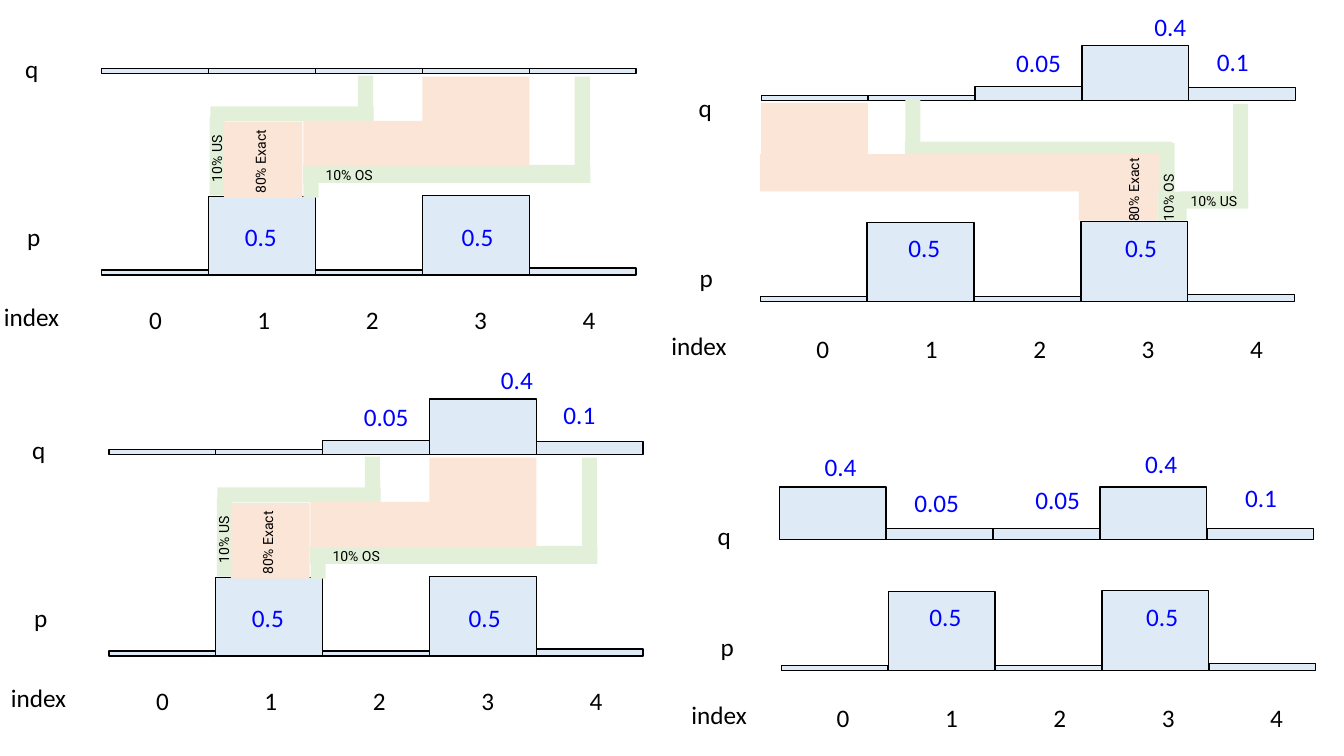
from pptx import Presentation
from pptx.dml.color import RGBColor
from pptx.enum.shapes import MSO_SHAPE
from pptx.enum.text import MSO_AUTO_SIZE
from pptx.util import Inches, Pt

RECT = MSO_SHAPE.RECTANGLE
FIT = MSO_AUTO_SIZE.SHAPE_TO_FIT_TEXT

BLACK, BLUE = "000000", "0000FF"
BAR, GREEN, ORANGE = "DEEBF7", "E2F0D9", "FBE5D6"
BAR_W, INDEX_STEP, TEXT_H = 1.06, 1.075, 0.4
P_HEIGHTS = [0.05, 0.78, 0.05, 0.79, 0.07]
WIDTHS = {1: 0.34, 3: 0.52, 4: 0.65, 5: 0.76}

LEFT_RIBBONS = [
    (GREEN, 2.08, 1.16, 0.15, 0.78, 0),
    (GREEN, 3.55, 0.75, 0.15, 0.44, 0),
    (GREEN, 2.82, 0.32, 0.15, 1.62, 90),
    (GREEN, 3.01, 1.74, 0.15, 0.22, 0),
    (GREEN, 5.7, 0.76, 0.15, 1.03, 0),
    (GREEN, 4.34, 0.3, 0.18, 2.85, 90),
    (ORANGE, 2.22, 1.21, 0.78, 0.75, 0),
    (ORANGE, 3.01, 1.2, 2.24, 0.45, 0),
    (ORANGE, 4.19, 0.76, 1.06, 0.45, 0),
]
LEFT_LABELS = [
    ("10% US", 1.81, 1.43, 0.68, 270),
    ("10% OS", 3.13, 1.6, 0.68, 0),
    ("80% Exact", 2.16, 1.46, 0.85, 270),
]
RIGHT_RIBBONS = [
    (GREEN, 11.48, 1.42, 0.17, 0.77, 0),
    (GREEN, 8.98, 0.99, 0.15, 0.44, 0),
    (GREEN, 10.23, 0.15, 0.14, 2.65, 90),
    (GREEN, 11.62, 1.9, 0.15, 0.29, 0),
    (GREEN, 12.23, 1.03, 0.15, 1.03, 0),
    (GREEN, 11.96, 1.65, 0.17, 0.67, 90),
    (ORANGE, 10.7, 1.54, 0.78, 0.65, 0),
    (ORANGE, 7.54, 1.53, 3.96, 0.37, 0),
    (ORANGE, 7.55, 1.02, 1.06, 0.52, 0),
]
RIGHT_LABELS = [
    ("10% US", 11.71, 1.86, 0.68, 0),
    ("80% Exact", 10.82, 1.74, 0.85, 270),
    ("10% OS", 11.25, 1.82, 0.68, 270),
]

PANELS = [
    {"p": (1.01, 2.73), "q": (1.01, 0.73), "q_heights": [0.05] * 5,
     "index": (1.38, 2.97), "halves": (2.33, 2.15),
     "names": {"q": (0.15, 0.48), "p": (0.17, 2.15)}, "values": [],
     "ribbons": LEFT_RIBBONS, "labels": LEFT_LABELS, "shift": (0, 0)},
    {"p": (1.08, 6.51), "q": (1.08, 4.51),
     "q_heights": [0.05, 0.05, 0.14, 0.55, 0.13],
     "index": (1.45, 6.75), "halves": (2.4, 5.93),
     "names": {"q": (0.22, 4.26), "p": (0.24, 5.93)},
     "values": [("0.05", 3.51, 3.93), ("0.4", 4.87, 3.57), ("0.1", 5.49, 3.91)],
     "ribbons": LEFT_RIBBONS, "labels": LEFT_LABELS, "shift": (0.07, 3.78)},
    {"p": (7.54, 2.99), "q": (7.55, 1.0),
     "q_heights": [0.05, 0.05, 0.14, 0.55, 0.13],
     "index": (8.0, 3.26), "halves": (8.91, 2.26),
     "names": {"q": (6.83, 0.87), "p": (6.84, 2.55)},
     "values": [("0.05", 9.98, 0.42), ("0.4", 11.35, 0.06), ("0.1", 11.97, 0.41)],
     "ribbons": RIGHT_RIBBONS, "labels": RIGHT_LABELS, "shift": (0, 0)},
    {"p": (7.75, 6.65), "q": (7.73, 5.35),
     "q_heights": [0.52, 0.11, 0.11, 0.52, 0.11],
     "index": (8.2, 6.92), "halves": (9.12, 5.92),
     "names": {"q": (7.02, 5.11), "p": (7.05, 6.21)},
     "values": [("0.4", 8.08, 4.43), ("0.05", 8.97, 4.79), ("0.05", 10.17, 4.76),
                ("0.4", 11.26, 4.4), ("0.1", 12.25, 4.74)],
     "ribbons": [], "labels": [], "shift": (0, 0)},
]


def rgb(color):
    """Return the colour for a hex string."""
    return RGBColor.from_string(color)


def add_rect(slide, fill, x, y, w, h, rotation=0, line=None):
    """Add a filled rectangle, outlined when a line colour is given."""
    sp = slide.shapes.add_shape(RECT, Inches(x), Inches(y), Inches(w), Inches(h))
    sp.shadow.inherit = False
    sp.rotation = rotation
    sp.fill.solid()
    sp.fill.fore_color.rgb = rgb(fill)
    if line:
        sp.line.color.rgb = rgb(line)
        sp.line.width = Pt(1)
    else:
        sp.line.fill.background()


def add_text(slide, text, x, y, w, h, color=BLACK, rotation=0, **font):
    """Add one unwrapped line of text."""
    sp = slide.shapes.add_textbox(Inches(x), Inches(y), Inches(w), Inches(h))
    sp.rotation = rotation
    tf = sp.text_frame
    for name, value in {"word_wrap": False, "auto_size": FIT}.items():
        setattr(tf, name, value)
    r = tf.paragraphs[0].add_run()
    r.text = text
    r.font.color.rgb = rgb(color)
    for name, value in ({"name": "Calibri", "size": Pt(18)} | font).items():
        setattr(r.font, name, value)


def add_big_text(slide, text, x, y, color=BLACK):
    """Add an 18 point name, index or value."""
    add_text(slide, text, x, y, WIDTHS[len(text)], TEXT_H, color)


def add_bars(slide, left, bottom, heights):
    """Add a row of touching bars that stand on one base line."""
    for i, h in enumerate(heights):
        add_rect(slide, BAR, left + i * BAR_W, bottom - h, BAR_W, h, line=BLACK)


def add_flow(slide, ribbons, labels, shift):
    """Add the ribbons between q and p with their labels."""
    dx, dy = shift
    for fill, x, y, w, h, rotation in ribbons:
        add_rect(slide, fill, x + dx, y + dy, w, h, rotation)
    for text, x, y, w, rotation in labels:
        add_text(slide, text, x + dx, y + dy, w, 0.27, rotation=rotation,
                 name="Roboto", size=Pt(10))


def add_index(slide, x, y):
    """Add the index row with its heading."""
    add_big_text(slide, "index", x - 1.44, y - 0.03)
    for i in range(5):
        add_big_text(slide, str(i), x + i * INDEX_STEP, y)


def add_panel(slide, panel):
    """Add one pair of distributions with the flow between them."""
    add_bars(slide, *panel["p"], P_HEIGHTS)
    add_bars(slide, *panel["q"], panel["q_heights"])
    add_flow(slide, panel["ribbons"], panel["labels"], panel["shift"])
    x, y = panel["halves"]
    for i in range(2):
        add_big_text(slide, "0.5", x + i * 2 * INDEX_STEP, y, BLUE)
    for name, place in panel["names"].items():
        add_big_text(slide, name, *place)
    add_index(slide, *panel["index"])
    for value in panel["values"]:
        add_big_text(slide, *value, BLUE)


def main():
    """Build the slide and save it."""
    prs = Presentation()
    prs.slide_width, prs.slide_height = Inches(13.33), Inches(7.5)
    slide = prs.slides.add_slide(prs.slide_layouts[6])
    for panel in PANELS:
        add_panel(slide, panel)
    prs.save("out.pptx")


main()
